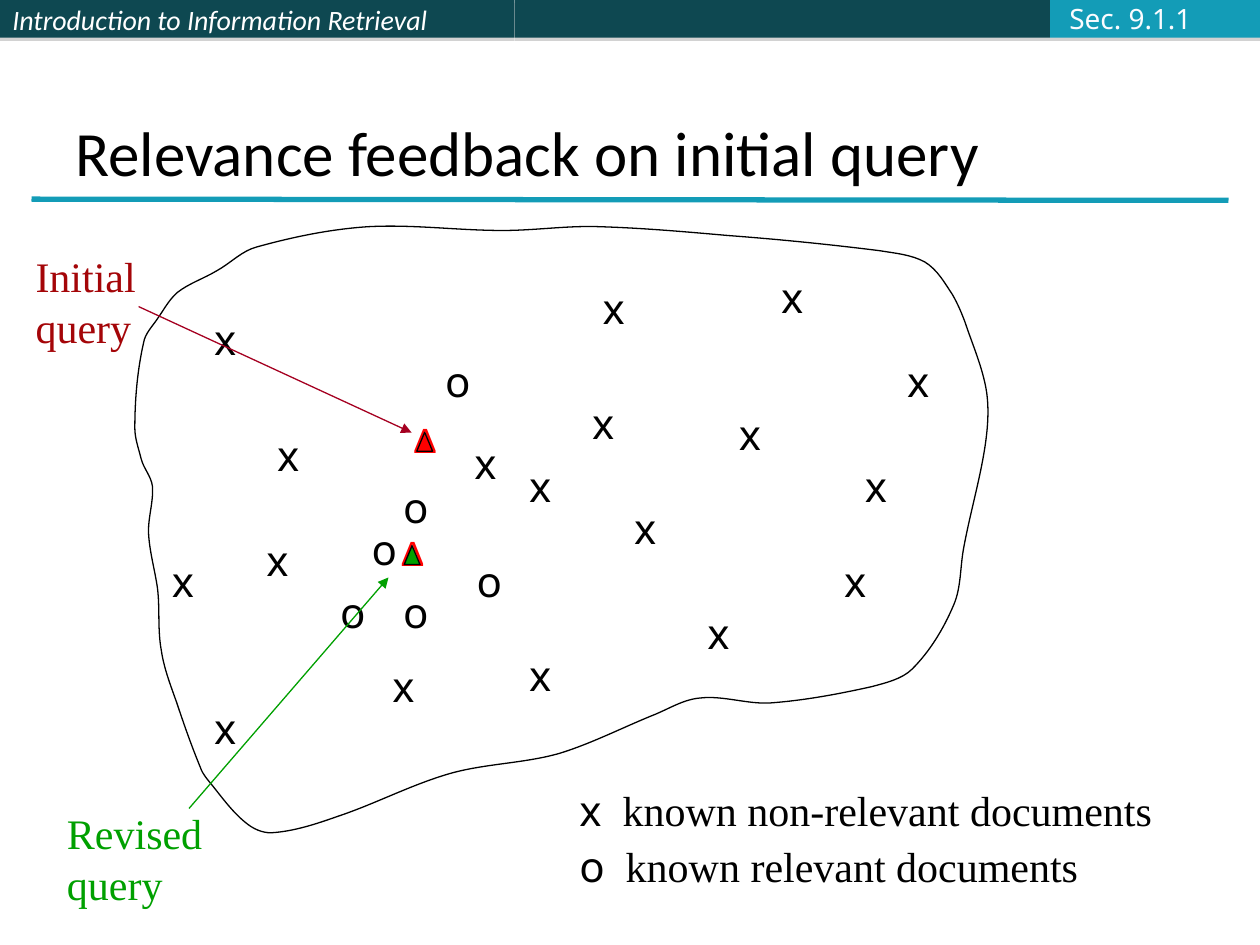
from dataclasses import dataclass
from math import dist

from lxml.etree import SubElement
from pptx import Presentation
from pptx.dml.color import RGBColor
from pptx.enum.shapes import MSO_CONNECTOR, MSO_SHAPE
from pptx.enum.text import MSO_ANCHOR, MSO_AUTO_SIZE
from pptx.oxml.ns import qn
from pptx.util import Pt


@dataclass(frozen=True)
class Theme:
    dark: str = "0E4851"
    accent: str = "139CB7"
    shadow: str = "808080"
    white: str = "FFFFFF"
    section: str = "FBFCFF"
    black: str = "000000"
    red: str = "FF0000"
    initial: str = "A40508"
    initial_arrow: str = "A50021"
    revised: str = "00A000"
    title_size: float = 36
    body_size: float = 24
    delta_size: float = 20
    header_size: float = 16
    line_height: float = 1.22
    sans: str = "Calibri"
    mark: str = "Noto Sans"
    serif: str = "Times New Roman"
    symbol: str = "Arial"


THEME = Theme()

# Document marks as (column, row) steps on a 6-point grid
GRID_STEP, GRID_ORIGIN = 6, 1.2
NON_RELEVANT = [
    (49, 43), (55, 37), (59, 47), (24, 50), (43.8, 40.8), (56, 26),
    (25, 40), (69, 38), (19, 29), (73, 25), (19, 66), (15, 52),
    (49, 61), (36, 62), (81, 43), (66, 57), (79, 52), (85, 33),
]
RELEVANT = [(31, 55), (44, 52), (37, 55), (34, 49), (41, 33), (37, 45)]

# Points on the edge of the document space, in units of 0.72 pt
OUTLINE_UNIT = 0.72
OUTLINE = [
    (159, 609), (140, 557), (128, 516), (125, 467), (118, 425), (121, 386),
    (112, 364), (107, 340), (114, 272), (125, 253), (141, 232), (172, 215),
    (204, 196), (292, 180), (399, 183), (476, 180), (578, 187), (698, 199),
    (734, 208), (756, 234), (766, 256), (783, 311), (782, 353), (765, 434),
    (757, 480), (724, 531), (692, 545), (611, 558), (556, 554), (520, 567),
    (444, 598), (357, 614), (268, 648), (215, 661), (195, 653), (169, 624),
]


def color(value):
    return RGBColor.from_string(value)


def add_text(shapes, box, paragraphs, size, ink, anchor=MSO_ANCHOR.TOP, italic=False,
             space_before=0, wrap=True, grow=True):
    """Add a text box; each paragraph is a list of (text, font name) runs."""
    shape = shapes.add_textbox(*map(Pt, box))
    frame = shape.text_frame
    frame.word_wrap = wrap
    frame.vertical_anchor = anchor
    frame.auto_size = MSO_AUTO_SIZE.SHAPE_TO_FIT_TEXT if grow else MSO_AUTO_SIZE.NONE
    for index, runs in enumerate(paragraphs):
        paragraph = frame.add_paragraph() if index else frame.paragraphs[0]
        paragraph.space_before = Pt(space_before if index else 0)
        paragraph.line_spacing = Pt(size * THEME.line_height)
        paragraph.font.size = Pt(size)
        paragraph.font.italic = italic
        paragraph.font.color.rgb = color(ink)
        for text, name in runs:
            run = paragraph.add_run()
            run.text = text
            run.font.name = name


def add_bar(shapes, left, width, fill):
    """Add one header block with a soft shadow below."""
    shape = shapes.add_shape(MSO_SHAPE.RECTANGLE, Pt(left), 0, Pt(width), Pt(21.6))
    shape.fill.solid()
    shape.fill.fore_color.rgb = color(fill)
    shape.line.fill.background()
    shape.shadow.inherit = False
    effects = shape.element.spPr.find(qn("a:effectLst"))
    shadow = SubElement(effects, qn("a:outerShdw"), dist=str(Pt(1.8)), dir="5400000", rotWithShape="0")
    shade = SubElement(shadow, qn("a:srgbClr"), val=THEME.shadow)
    SubElement(shade, qn("a:alpha"), val="35000")


def add_line(shapes, ends, ink, width, arrow=False):
    connector = shapes.add_connector(MSO_CONNECTOR.STRAIGHT, *map(Pt, ends))
    connector.line.color.rgb = color(ink)
    connector.line.width = Pt(width)
    if arrow:
        line = connector.element.spPr.find(qn("a:ln"))
        SubElement(line, qn("a:tailEnd"), type="triangle")
    SubElement(connector.element.spPr, qn("a:effectLst"))


def set_outlined_fill(shape, fill):
    shape.fill.solid()
    shape.fill.fore_color.rgb = color(fill)
    shape.line.color.rgb = color(THEME.black)
    shape.line.width = Pt(0.75)
    shape.shadow.inherit = False


def control_point(points, index, other):
    """Step from a point towards its neighbour, parallel to the chord around it."""
    count = len(points)
    here, there = points[index % count], points[other % count]
    before, after = points[(2 * index - other) % count], there
    reach = dist(here, there) / 3 / dist(before, after)
    return tuple(a + (c - b) * reach for a, b, c in zip(here, before, after))


def add_document_space(shapes):
    """Draw a smooth closed outline, turning each three segments into one curve."""
    builder = shapes.build_freeform(*OUTLINE[0], scale=Pt(OUTLINE_UNIT))
    for index in range(len(OUTLINE)):
        following = index + 1
        builder.add_line_segments([control_point(OUTLINE, index, following),
                                   control_point(OUTLINE, following, index),
                                   OUTLINE[following % len(OUTLINE)]],
                                  close=following == len(OUTLINE))
    shape = builder.convert_to_shape()
    segments = list(shape.element.iter(qn("a:lnTo")))
    for start in range(0, 3 * len(OUTLINE), 3):
        curve, *others = segments[start:start + 3]
        curve.tag = qn("a:cubicBezTo")
        for segment in others:
            curve.append(segment[0])
            segment.getparent().remove(segment)
    set_outlined_fill(shape, THEME.white)


def add_marks(shapes, letter, cells, width):
    for column, row in cells:
        left, top = (GRID_ORIGIN + GRID_STEP * step for step in (column, row))
        add_text(shapes, (left, top, width, 36), [[(letter, THEME.mark)]],
                 THEME.body_size, THEME.black)


def add_query(shapes, left, top, fill):
    """Group a red delta with a filled triangle inside it."""
    group = shapes.add_group_shape().shapes
    add_text(group, (left, top, 36, 31.6), [[("Δ", THEME.symbol)]],
             THEME.delta_size, THEME.red)
    triangle = group.add_shape(MSO_SHAPE.ISOSCELES_TRIANGLE,
                               Pt(left + 9), Pt(top + 11.8), Pt(9), Pt(10.8))
    set_outlined_fill(triangle, fill)


def main():
    presentation = Presentation()
    presentation.slide_width, presentation.slide_height = Pt(720), Pt(540)
    slide = presentation.slides.add_slide(presentation.slide_layouts[6])
    shapes = slide.shapes

    # Header and title
    for left, width, fill in [(0, 294, THEME.dark), (294, 306, THEME.dark), (600, 120, THEME.accent)]:
        add_bar(shapes, left, width, fill)
    add_text(shapes, (0, 0, 294, 21.6), [[("Introduction to Information Retrieval", THEME.sans)]],
             THEME.header_size, THEME.white, MSO_ANCHOR.MIDDLE, italic=True, grow=False)
    add_text(shapes, (604, -2.9, 84, 26.6), [[("Sec. 9.1.1", THEME.mark)]],
             THEME.header_size, THEME.section, MSO_ANCHOR.MIDDLE, wrap=False)
    add_line(shapes, (18, 113.8, 702, 114.5), THEME.accent, 3)
    add_text(shapes, (36, 21.6, 648, 90), [[("Relevance feedback on initial query", THEME.sans)]],
             THEME.title_size, THEME.black, MSO_ANCHOR.BOTTOM, grow=False)

    # Document space and its marks
    add_document_space(shapes)
    add_marks(shapes, "x", NON_RELEVANT, 24)
    add_marks(shapes, "o", RELEVANT, 48)

    # Queries with labels and arrows
    add_query(shapes, 222, 300, THEME.revised)
    add_query(shapes, 229.2, 235.2, THEME.red)
    for text, box, ink in [("Initial query", (13.2, 139.2, 90, 65), THEME.initial),
                           ("Revised query", (31.2, 457.2, 138, 65), THEME.revised)]:
        add_text(shapes, box, [[(text, THEME.serif)]], THEME.body_size, ink)
    add_line(shapes, (79.2, 175.2, 235.2, 247.2), THEME.initial_arrow, 0.75, arrow=True)
    add_line(shapes, (108, 462, 222, 330), THEME.revised, 0.75, arrow=True)

    # Legend
    legend = [("x", "  known non-relevant documents"), ("o", "  known relevant documents")]
    add_text(shapes, (324, 444, 354, 68),
             [[(letter, THEME.mark), (meaning, THEME.serif)] for letter, meaning in legend],
             THEME.body_size, THEME.black, space_before=3)

    presentation.save("out.pptx")


if __name__ == "__main__":
    main()
